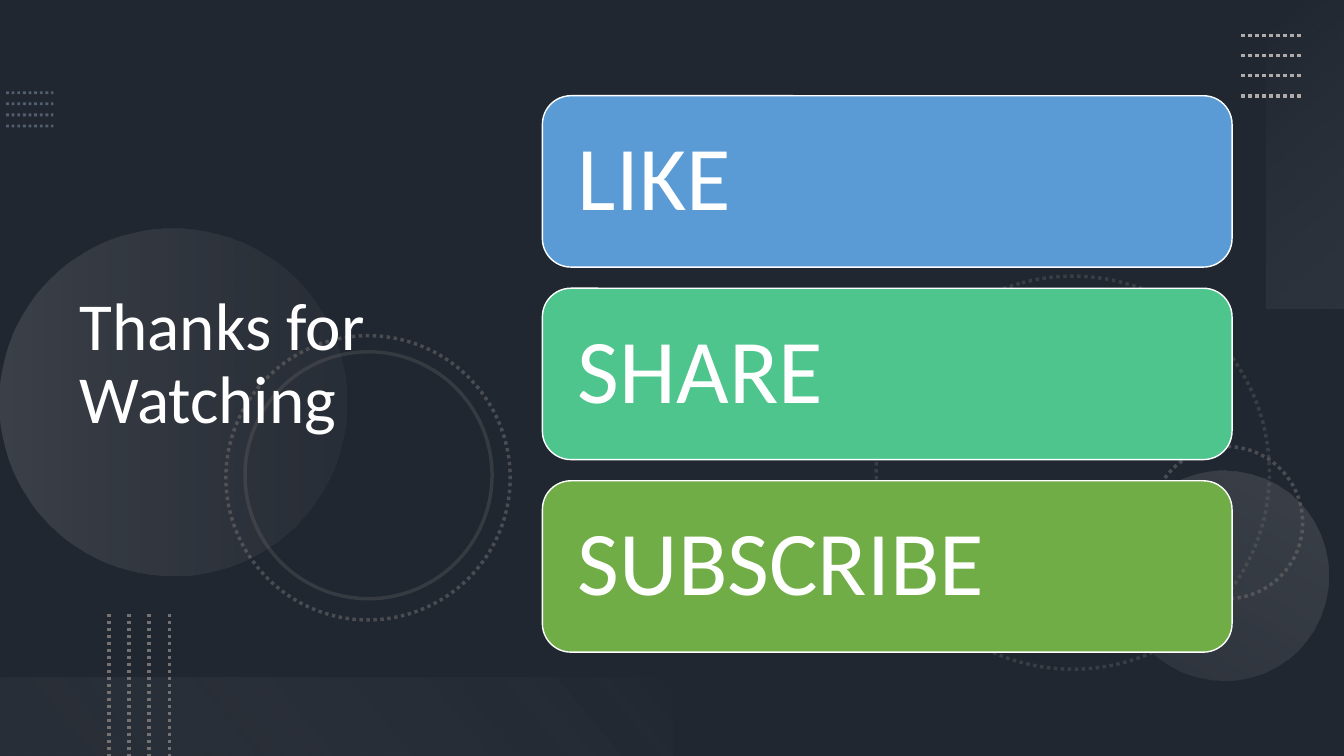
from dataclasses import dataclass
from typing import Optional

from lxml.etree import SubElement
from pptx import Presentation
from pptx.dml.color import RGBColor
from pptx.enum.dml import MSO_LINE
from pptx.enum.shapes import MSO_CONNECTOR, MSO_SHAPE
from pptx.enum.text import MSO_ANCHOR, MSO_AUTO_SIZE, PP_ALIGN
from pptx.oxml.ns import qn
from pptx.shapes.autoshape import Shape
from pptx.shapes.connector import Connector
from pptx.slide import Slide
from pptx.text.text import TextFrame
from pptx.util import Pt

EMU_PER_PX = 9144
SLIDE_WIDTH, SLIDE_HEIGHT = 1333, 750


@dataclass(frozen=True)
class Theme:
    background: str = "44546A"
    veil: str = "000000"
    white: str = "FFFFFF"
    silver: str = "AFABAB"
    gray: str = "767171"
    pale: str = "F5F5F5"
    steel: str = "8497B0"
    blue: str = "5B9BD5"
    mint: str = "4DC58D"
    green: str = "70AD47"
    font: str = "Calibri"
    title_size: int = 48
    card_size: int = 65


THEME = Theme()


@dataclass(frozen=True)
class Box:
    left: int
    top: int
    width: int
    height: int


@dataclass(frozen=True)
class Stop:
    color: str
    alpha: int
    position: float


@dataclass(frozen=True)
class Glow:
    kind: MSO_SHAPE
    box: Box
    rotation: int
    angle: int
    stops: tuple[Stop, Stop]


@dataclass(frozen=True)
class Ring:
    box: Box
    alpha: int
    dotted: bool = True


@dataclass(frozen=True)
class DottedLines:
    left: int
    top: int
    length: int
    gap: int
    color: str
    weight: float = 2.5
    alpha: int = 100
    vertical: bool = False


@dataclass(frozen=True)
class Card:
    text: str
    color: str


def px(length: int) -> int:
    return length * EMU_PER_PX


def rgb(color: str) -> RGBColor:
    return RGBColor.from_string(color)


def set_alpha(color_element, percent: int) -> None:
    SubElement(color_element, qn("a:alpha")).set("val", str(percent * 1000))


def add_shape(slide: Slide, kind: MSO_SHAPE, box: Box, fill: Optional[str] = None) -> Shape:
    shape = slide.shapes.add_shape(kind, px(box.left), px(box.top), px(box.width), px(box.height))
    shape.shadow.inherit = False
    shape.line.fill.background()
    if fill is None:
        shape.fill.background()
    else:
        shape.fill.solid()
        shape.fill.fore_color.rgb = rgb(fill)
    return shape


def style_line(shape: Shape | Connector, color: str, weight: float, dotted: bool, alpha: int) -> None:
    shape.line.color.rgb = rgb(color)
    shape.line.width = Pt(weight)
    if dotted:
        shape.line.dash_style = MSO_LINE.ROUND_DOT
    if alpha < 100:
        set_alpha(shape.element.xpath(".//a:ln//a:srgbClr")[0], alpha)


def add_veil(slide: Slide) -> None:
    veil = add_shape(slide, MSO_SHAPE.RECTANGLE, Box(0, 0, SLIDE_WIDTH, SLIDE_HEIGHT), THEME.veil)
    set_alpha(veil.element.xpath("./p:spPr/a:solidFill/a:srgbClr")[0], 53)


def add_glow(slide: Slide, glow: Glow) -> None:
    shape = add_shape(slide, glow.kind, glow.box)
    shape.rotation = glow.rotation
    shape.fill.gradient()
    shape.fill.gradient_angle = 360 - glow.angle
    for gradient_stop, stop in zip(shape.fill.gradient_stops, glow.stops):
        gradient_stop.color.rgb = rgb(stop.color)
        gradient_stop.position = stop.position
    for color_element, stop in zip(shape.element.xpath(".//a:gradFill//a:srgbClr"), glow.stops):
        set_alpha(color_element, stop.alpha)


def add_ring(slide: Slide, ring: Ring) -> None:
    shape = add_shape(slide, MSO_SHAPE.OVAL, ring.box)
    shape.rotation = 75
    style_line(shape, THEME.gray, 2.5, ring.dotted, ring.alpha)


def add_dotted_lines(slide: Slide, lines: DottedLines) -> None:
    for index in range(4):
        offset = index * lines.gap
        left = lines.left + (offset if lines.vertical else 0)
        top = lines.top + (0 if lines.vertical else offset)
        right = left if lines.vertical else left + lines.length
        bottom = top + lines.length if lines.vertical else top
        connector = slide.shapes.add_connector(
            MSO_CONNECTOR.STRAIGHT, px(left), px(top), px(right), px(bottom))
        style_line(connector, lines.color, lines.weight, True, lines.alpha)
        SubElement(connector.element.spPr, qn("a:effectLst"))


def write_text(frame: TextFrame, text: str, *, size: int, left: int = 10, right: int = 10) -> None:
    frame.word_wrap = True
    frame.auto_size = MSO_AUTO_SIZE.NONE
    frame.vertical_anchor = MSO_ANCHOR.MIDDLE
    frame.margin_left, frame.margin_right = px(left), px(right)
    paragraph = frame.paragraphs[0]
    paragraph.alignment = PP_ALIGN.LEFT
    paragraph.line_spacing = 0.9
    run = paragraph.add_run()
    run.text = text
    run.font.name = THEME.font
    run.font.size = Pt(size)
    run.font.color.rgb = rgb(THEME.white)


def add_title(slide: Slide, text: str, box: Box) -> None:
    title = slide.shapes.title
    title.left, title.top = px(box.left), px(box.top)
    title.width, title.height = px(box.width), px(box.height)
    write_text(title.text_frame, text, size=THEME.title_size)
    slide.shapes.element.append(title.element)


def add_cards(slide: Slide, cards: tuple[Card, ...]) -> None:
    for index, card in enumerate(cards):
        shape = add_shape(slide, MSO_SHAPE.ROUNDED_RECTANGLE, Box(538, 95 + index * 191, 684, 170), card.color)
        style_line(shape, THEME.white, 1, False, 100)
        write_text(shape.text_frame, card.text, size=THEME.card_size, left=27, right=27)


GLOWS = (
    Glow(MSO_SHAPE.OVAL, Box(0, 227, 344, 344), 270, 90,
         (Stop(THEME.silver, 20, 0), Stop(THEME.gray, 10, 1))),
    Glow(MSO_SHAPE.OVAL, Box(1110, 467, 208, 208), 210, 90,
         (Stop(THEME.silver, 10, 0), Stop(THEME.silver, 20, 1))),
    Glow(MSO_SHAPE.RECTANGLE, Box(1142, 114, 306, 78), 270, 140,
         (Stop(THEME.pale, 0, 0), Stop(THEME.silver, 10, 1))),
    Glow(MSO_SHAPE.RECTANGLE, Box(0, 672, 667, 78), 180, 140,
         (Stop(THEME.gray, 10, 0.1), Stop(THEME.pale, 0, 1))),
)
RINGS = (
    Ring(Box(869, 274, 390, 390), 30),
    Ring(Box(1141, 443, 151, 151), 50),
    Ring(Box(224, 333, 282, 282), 50),
    Ring(Box(243, 349, 245, 245), 25, dotted=False),
)
DOTTED_LINES = (
    DottedLines(6, 92, 47, 11, THEME.steel, weight=2, alpha=50),
    DottedLines(1231, 35, 60, 20, THEME.silver),
    DottedLines(108, 609, 141, 20, THEME.gray, vertical=True),
)
CARDS = (Card("LIKE", THEME.blue), Card("SHARE", THEME.mint), Card("SUBSCRIBE", THEME.green))


def main() -> None:
    presentation = Presentation()
    presentation.slide_width, presentation.slide_height = px(SLIDE_WIDTH), px(SLIDE_HEIGHT)
    slide = presentation.slides.add_slide(presentation.slide_layouts[5])
    slide.background.fill.solid()
    slide.background.fill.fore_color.rgb = rgb(THEME.background)
    add_veil(slide)
    for glow in GLOWS:
        add_glow(slide, glow)
    for ring in RINGS:
        add_ring(slide, ring)
    for lines in DOTTED_LINES:
        add_dotted_lines(slide, lines)
    add_title(slide, "Thanks for Watching", Box(69, 54, 459, 617))
    add_cards(slide, CARDS)
    presentation.save("out.pptx")


if __name__ == "__main__":
    main()
